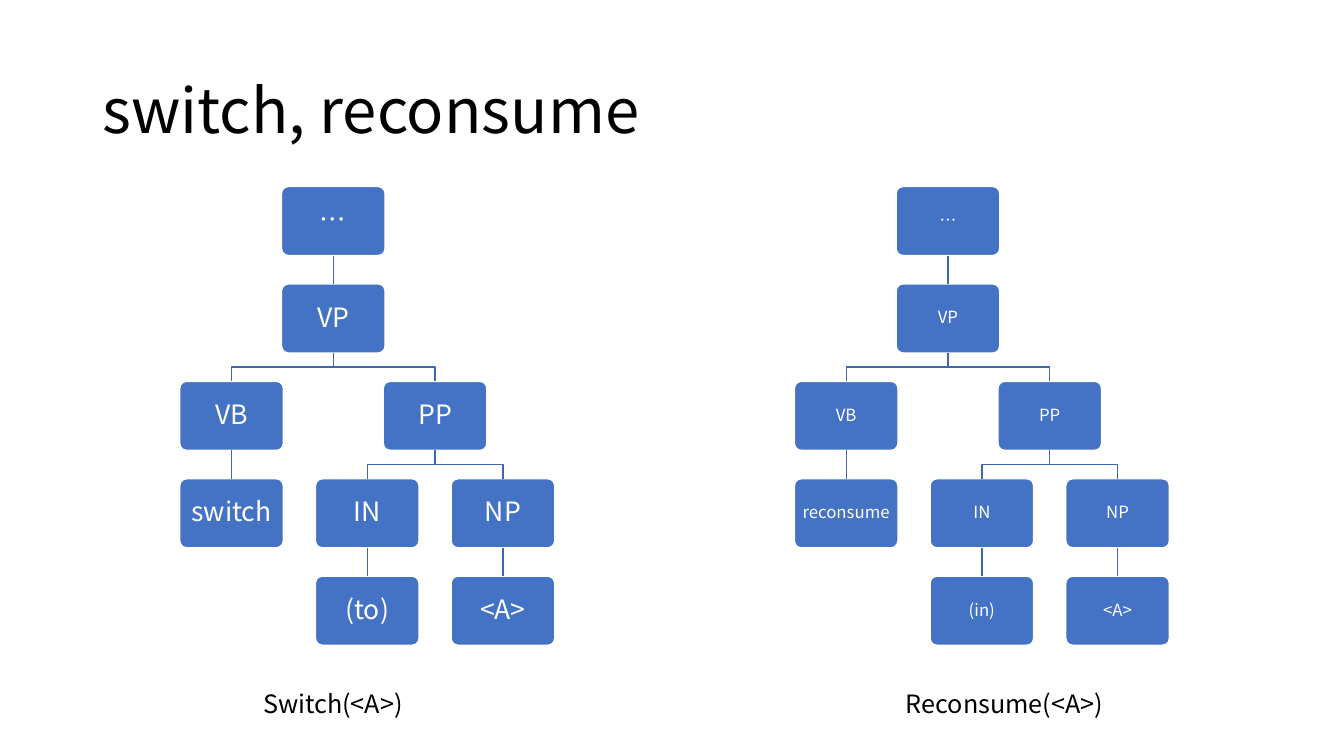
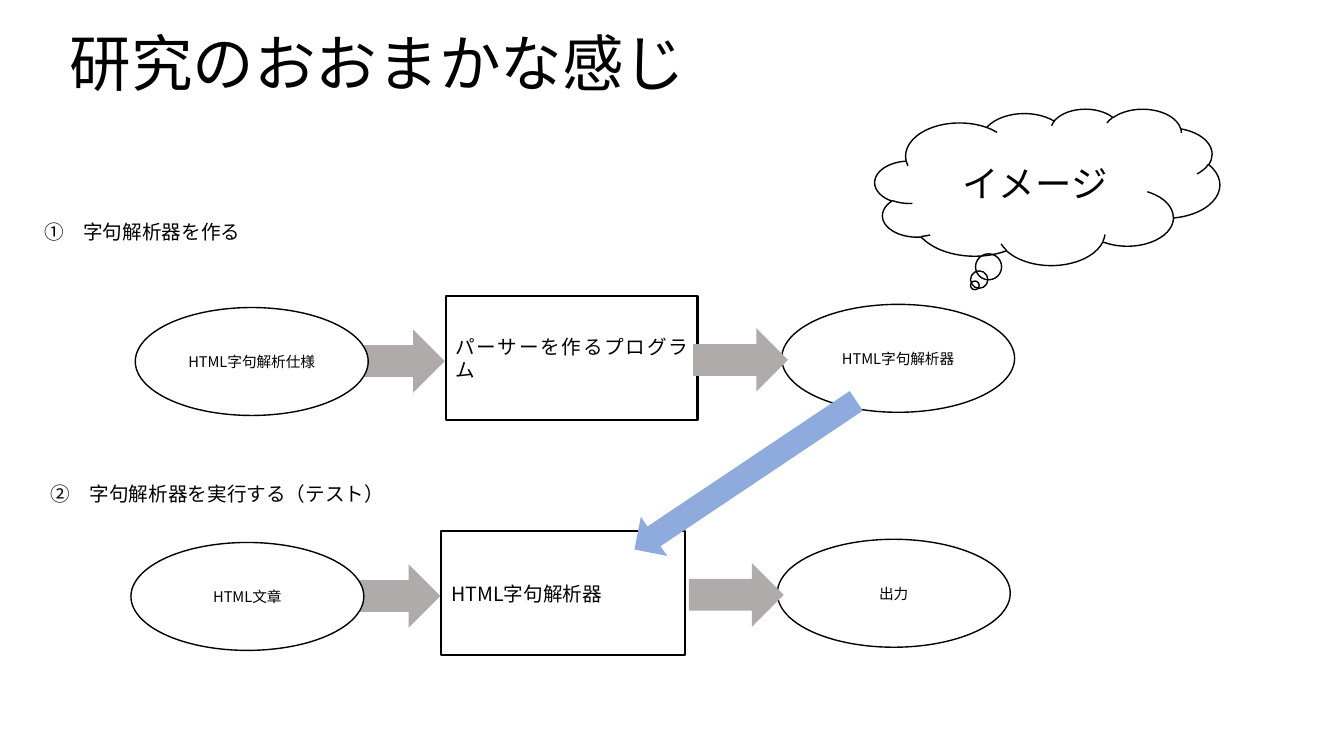
"""Build two slides: parse trees for two phrases and an outline of the research."""
from dataclasses import dataclass

from lxml.etree import SubElement
from pptx import Presentation
from pptx.dml.color import RGBColor
from pptx.enum.shapes import MSO_CONNECTOR, MSO_SHAPE as SHAPE
from pptx.enum.text import MSO_ANCHOR as ANCHOR, MSO_AUTO_SIZE, PP_ALIGN as ALIGN
from pptx.oxml.ns import qn
from pptx.util import Cm, Pt


@dataclass(frozen=True)
class Theme:
    font: str = "Noto Sans CJK JP"
    ink: str = "000000"
    paper: str = "FFFFFF"
    node: str = "4472C4"
    branch: str = "3E67B2"
    step_arrow: str = "AFABAB"
    reuse_arrow: str = "8FAADC"
    title: float = 44
    thought: float = 26
    caption: float = 18
    body: float = 14
    label: float = 10.5


THEME = Theme()
NODE_W, NODE_H = 2.61, 1.74
COLUMN_PITCH, LEVEL_PITCH = 3.42, 2.455
TREE_TOP = 4.7


def write(shape, text, size, color=THEME.ink, align=ALIGN.LEFT, anchor=ANCHOR.MIDDLE, spacing=1.0):
    frame = shape.text_frame
    frame.text = text
    frame.word_wrap = True
    frame.auto_size = MSO_AUTO_SIZE.NONE
    frame.vertical_anchor = anchor
    paragraph = frame.paragraphs[0]
    paragraph.alignment = align
    paragraph.line_spacing = spacing
    font = paragraph.runs[0].font
    font.size = Pt(size)
    font.name = THEME.font
    font.color.rgb = RGBColor.from_string(color)
    SubElement(font._element, qn("a:ea"), typeface=THEME.font)


def add_box(slide, kind, left, top, width, height, fill=None, line=None, weight=1.0):
    shape = slide.shapes.add_shape(kind, Cm(left), Cm(top), Cm(width), Cm(height))
    shape.shadow.inherit = False
    if fill:
        shape.fill.solid()
        shape.fill.fore_color.rgb = RGBColor.from_string(fill)
    else:
        shape.fill.background()
    if line:
        shape.line.color.rgb = RGBColor.from_string(line)
        shape.line.width = Pt(weight)
    else:
        shape.line.fill.background()
    return shape


def add_titled_slide(deck, text, left, top, anchor=ANCHOR.MIDDLE):
    slide = deck.slides.add_slide(deck.slide_layouts[5])
    title = slide.shapes.title
    title.left, title.top, title.width, title.height = Cm(left), Cm(top), Cm(29.21), Cm(3.68)
    write(title, text, THEME.title, anchor=anchor, spacing=0.9)
    return slide


def add_branch(slide, parent, child):
    start_x, start_y = parent.left + parent.width // 2, parent.top + parent.height
    end_x, end_y = child.left + child.width // 2, child.top
    if abs(start_x - end_x) < Cm(0.01):
        branch = slide.shapes.add_connector(MSO_CONNECTOR.STRAIGHT, start_x, start_y, end_x, end_y)
        branch.begin_connect(parent, 2)
        branch.end_connect(child, 0)
        SubElement(branch._element.spPr, qn("a:effectLst"))
    else:
        middle_y = (start_y + end_y) // 2
        outline = slide.shapes.build_freeform(start_x, start_y)
        outline.add_line_segments([(start_x, middle_y), (end_x, middle_y), (end_x, end_y)], close=False)
        branch = outline.convert_to_shape()
        branch.fill.background()
        branch.shadow.inherit = False
    branch.line.color.rgb = RGBColor.from_string(THEME.branch)
    branch.line.width = Pt(1)


def column_of(tree, columns):
    _, children = tree
    if not children:
        return next(columns)
    return sum(column_of(child, columns) for child in children) / len(children)


def add_tree(slide, tree, left, size, inset, columns, level=0):
    word, children = tree
    subtrees = [add_tree(slide, child, left, size, inset, columns, level + 1) for child in children]
    column = sum(place for _, place in subtrees) / len(subtrees) if subtrees else next(columns)
    node = add_box(slide, SHAPE.ROUNDED_RECTANGLE, left + column * COLUMN_PITCH,
                   TREE_TOP + level * LEVEL_PITCH, NODE_W, NODE_H, THEME.node, THEME.paper)
    node.adjustments[0] = 0.1
    write(node, word, size, THEME.paper, ALIGN.CENTER, spacing=0.9)
    node.text_frame.margin_left = node.text_frame.margin_right = Cm(inset)
    for child, _ in subtrees:
        add_branch(slide, node, child)
    return node, column


def verb_phrase(verb, preposition):
    prepositional = ("PP", [("IN", [(preposition, [])]), ("NP", [("<A>", [])])])
    return ("…", [("VP", [("VB", [(verb, [])]), prepositional])])


def add_caption(slide, text, left, width):
    caption = slide.shapes.add_textbox(Cm(left), Cm(17.22), Cm(width), Cm(1.02))
    write(caption, text, THEME.caption, anchor=ANCHOR.TOP)


def add_heading(slide, text, left, top, width):
    heading = add_box(slide, SHAPE.RECTANGLE, left, top, width, 1.3, THEME.paper)
    write(heading, text, THEME.body, anchor=ANCHOR.TOP)


def add_data(slide, text, left, top):
    data = add_box(slide, SHAPE.OVAL, left, top, 5.87, 2.72, THEME.paper, THEME.ink)
    write(data, text, THEME.label, align=ALIGN.CENTER)


def add_step_arrow(slide, left, top):
    add_box(slide, SHAPE.RIGHT_ARROW, left, top, 2.39, 1.6, THEME.step_arrow)


def add_flow(slide, left, top, source, program, result, program_width):
    add_step_arrow(slide, left + 5.41, top + 0.55)
    process = add_box(slide, SHAPE.RECTANGLE, left + 7.82, top - 0.28, program_width, 3.12,
                      THEME.paper, THEME.ink, 1.5)
    write(process, program, THEME.body, align=ALIGN.JUSTIFY)
    add_data(slide, source, left, top)
    add_data(slide, result, left + 16.29, top - 0.08)
    add_step_arrow(slide, left + 14.06, top + 0.52)


def build_trees(deck):
    slide = add_titled_slide(deck, "switch, reconsume", 2.33, 1.01)
    add_tree(slide, verb_phrase("switch", "(to)"), 4.53, 19, 0.15, iter(range(3)))
    add_tree(slide, verb_phrase("reconsume", "(in)"), 20.02, 12, 0.1, iter(range(3)))
    add_caption(slide, "Switch(<A>)", 6.38, 4.34)
    add_caption(slide, "Reconsume(<A>)", 22.58, 5.82)


def build_outline(deck):
    slide = add_titled_slide(deck, "研究のおおまかな感じ", 1.5, 0.84, ANCHOR.TOP)
    slide.shapes.title.text_frame.margin_top = 0
    add_flow(slide, 3.3, 13.67, "HTML文章", "HTML字句解析器", "出力", 6.15)
    add_flow(slide, 3.41, 7.75, "HTML字句解析仕様", "パーサーを作るプログラム", "HTML字句解析器", 6.35)
    reuse = add_box(slide, SHAPE.DOWN_ARROW, 18.19, 8.61, 1.19, 6.73, THEME.reuse_arrow)
    reuse.rotation = 56.2
    add_heading(slide, "①　字句解析器を作る", 0.86, 5.41, 5.72)
    add_heading(slide, "②　字句解析器を実行する（テスト）", 1.02, 12.01, 9.73)
    thought = add_box(slide, SHAPE.CLOUD_CALLOUT, 22.05, 2.74, 8.69, 3.94, line=THEME.ink)
    thought.adjustments[0], thought.adjustments[1] = -0.21, 0.63
    write(thought, "イメージ", THEME.thought, align=ALIGN.CENTER)


def main():
    deck = Presentation()
    deck.slide_width, deck.slide_height = Cm(33.87), Cm(19.05)
    build_trees(deck)
    build_outline(deck)
    deck.save("out.pptx")


if __name__ == "__main__":
    main()
